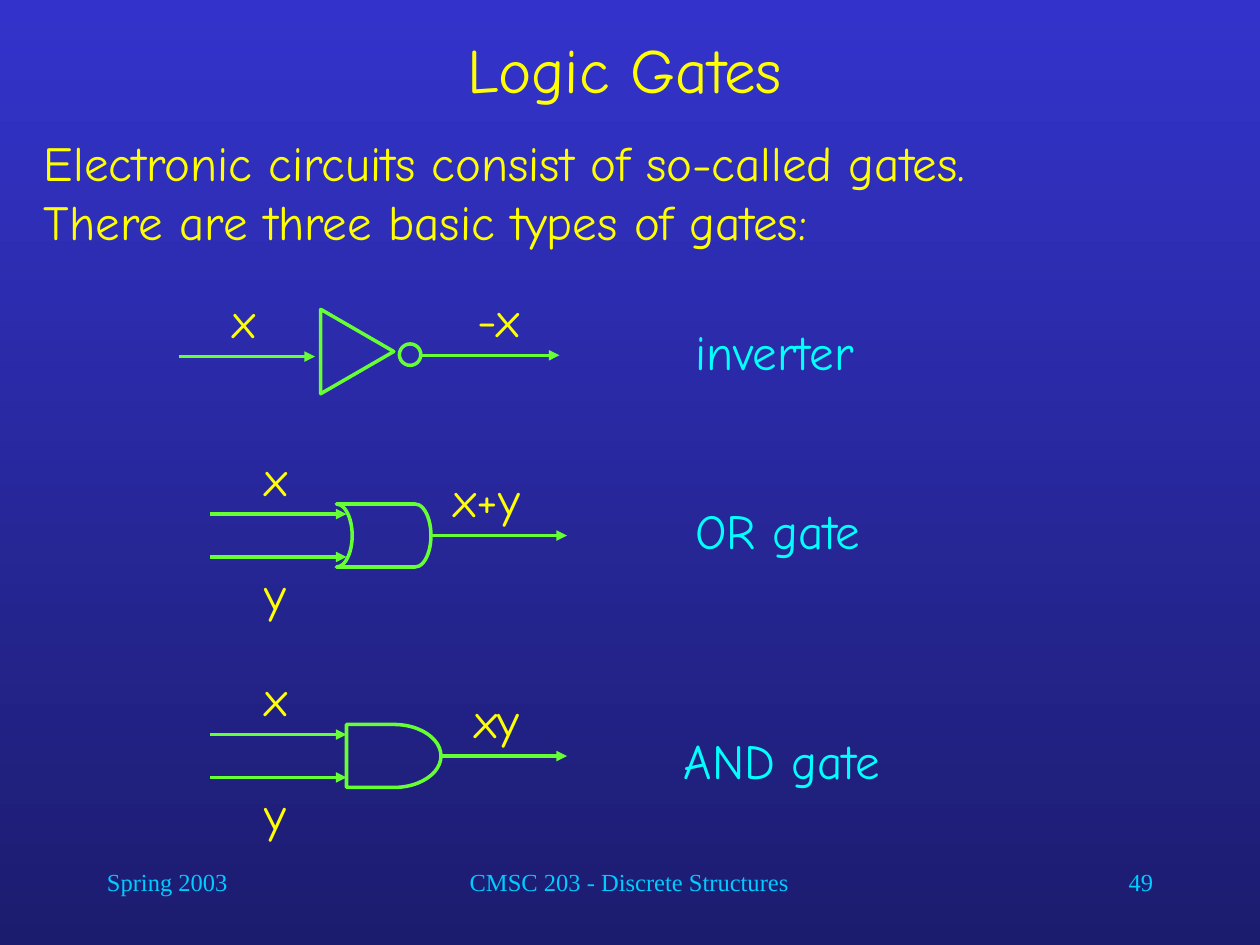
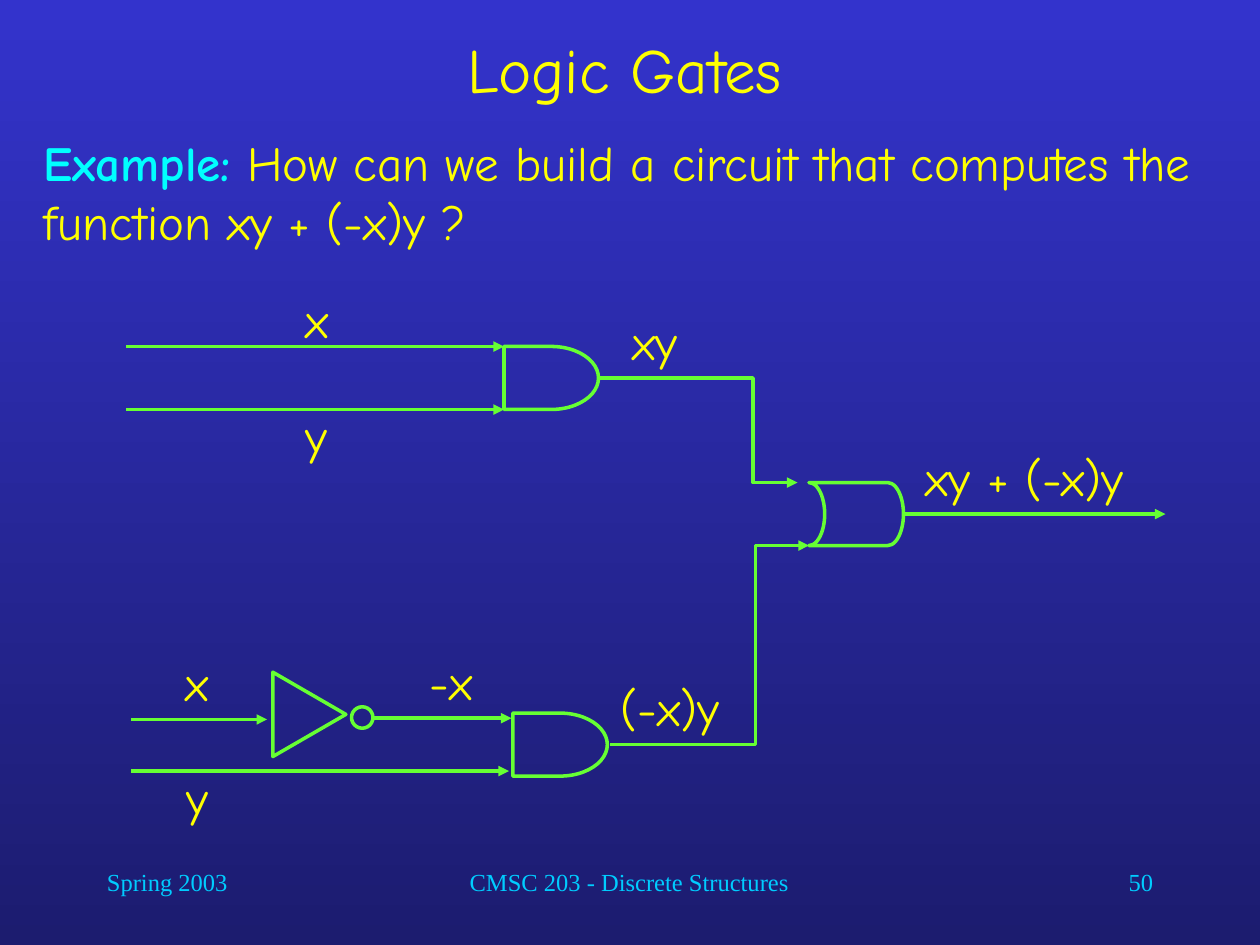
from lxml.etree import SubElement
from pptx import Presentation
from pptx.dml.color import RGBColor
from pptx.enum.shapes import MSO_CONNECTOR, MSO_SHAPE
from pptx.enum.text import MSO_ANCHOR, MSO_AUTO_SIZE, PP_ALIGN
from pptx.oxml.ns import qn
from pptx.util import Inches, Pt

COLORS = {
    "sky": "3333CC",
    "night": "1C1C6F",
    "text": "FFFF00",
    "accent": "00FFFF",
    "footer": "00CCFF",
    "circuit": "66FF33",
}
RGB = {name: RGBColor.from_string(value) for name, value in COLORS.items()}

TITLE = {"size": Pt(36), "name": "Comic Neue"}
BODY = {"size": Pt(28), "name": "Comic Neue"}
FOOTER = {"size": Pt(14), "name": "Times New Roman"}
BODY_SPACING = {"space_before": Pt(7), "space_after": Pt(7)}
LABEL_SPACING = {"space_before": Pt(17.5)}


def add_text(slide, box, runs, font=BODY, paragraph=LABEL_SPACING, frame=None):
    """Add a text box; runs are (text, colour, bold), with a line break at each \\n."""
    text_frame = slide.shapes.add_textbox(*map(Inches, box)).text_frame
    text_frame.word_wrap = True
    line = text_frame.paragraphs[0]
    for target, values in ((text_frame, frame or {}), (line, paragraph)):
        for key, value in values.items():
            setattr(target, key, value)
    for text, color, bold in runs:
        for index, part in enumerate(text.split("\n")):
            if index:
                line.add_line_break()
            run = line.add_run()
            run.text = part
            for key, value in {**font, "bold": bold}.items():
                setattr(run.font, key, value)
            run.font.color.rgb = RGB[color]


def add_wire(slide, start, end, bend=None):
    """Add an arrow; bend is the share of the width at which it turns."""
    kind = MSO_CONNECTOR.STRAIGHT if bend is None else MSO_CONNECTOR.ELBOW
    wire = slide.shapes.add_connector(kind, *map(Inches, (*start, *end)))
    wire.line.width = Pt(2)
    wire.line.color.rgb = RGB["circuit"]
    properties = wire._element.spPr
    SubElement(wire.line._get_or_add_ln(), qn("a:tailEnd"), type="triangle")
    SubElement(properties, qn("a:effectLst"))
    if bend is not None:
        guides = properties.find(qn("a:prstGeom")).get_or_add_avLst()
        SubElement(guides, qn("a:gd"), name="adj1", fmla=f"val {round(bend * 100000)}")
    return wire


prs = Presentation()
prs.slide_width, prs.slide_height = Inches(10), Inches(7.5)

# Shared background
background = prs.slide_master.background.fill
background.gradient()
background.gradient_angle = 270
for stop, color in zip(background.gradient_stops, ("sky", "night")):
    stop.color.rgb = RGB[color]

# Title, introduction and footer of each slide
introductions = {
    49: [("Electronic circuits consist of so-called gates.\n"
          "There are three basic types of gates:", "text", False)],
    50: [("Example:", "accent", True),
         (" How can we build a circuit that computes the function xy + (-x)y ?",
          "text", False)],
}
slides = []
for number, introduction in introductions.items():
    slide = prs.slides.add_slide(prs.slide_layouts[6])
    slides.append(slide)
    footers = (
        (0.75, 2.08, "Spring 2003", PP_ALIGN.LEFT),
        (2.83, 4.33, "CMSC 203 - Discrete Structures", PP_ALIGN.CENTER),
        (7.17, 2.08, str(number), PP_ALIGN.RIGHT),
    )
    for left, width, text, alignment in footers:
        add_text(slide, (left, 6.83, width, 0.5), [(text, "footer", False)],
                 FOOTER, {"alignment": alignment})
    add_text(slide, (0.25, 0, 9.42, 1.08), [("Logic Gates", "text", False)],
             TITLE, {"alignment": PP_ALIGN.CENTER},
             {"vertical_anchor": MSO_ANCHOR.MIDDLE})
    add_text(slide, (0.25, 1, 9.5, 1.08), introduction, BODY, BODY_SPACING)
overview, example = slides

# Wires, labels and symbols, collected for both slides
wires, labels, symbols = [], [], []

# Inverters, placed by the start of their input wire
for slide, x, y in ((overview, 1.42, 2.83), (example, 1.04, 5.71)):
    symbols += [
        (slide, MSO_SHAPE.ISOSCELES_TRIANGLE, (x + 1.08, y - 0.33, 0.67, 0.58), 90),
        (slide, MSO_SHAPE.FLOWCHART_CONNECTOR, (x + 1.75, y - 0.1, 0.17, 0.17), 0),
    ]
    wires += [
        (slide, (x, y), (x + 1.08, y)),
        (slide, (x + 1.93, y - 0.01), (x + 3.02, y - 0.01)),
    ]
    labels += [
        (slide, x + 0.33, y - 0.58, 0.42, "x", "text"),
        (slide, x + 2.27, y - 0.59, 0.9, "-x", "text"),
    ]

# Input pairs x and y of the two-input gates
for slide, start, end, top, gap, label_left, label_top in (
    (overview, 1.67, 2.75, 4.08, 0.34, 2, 3.5),
    (overview, 1.67, 2.75, 5.83, 0.34, 2, 5.25),
    (example, 1, 4, 2.75, 0.5, 2.33, 2.25),
):
    for row, name in enumerate("xy"):
        y = top + row * gap
        wires.append((slide, (start, y), (end, y)))
        labels.append((slide, label_left, label_top + row * 0.92, 0.42, name, "text"))

# Second input of the lower AND gate
wires.append((example, (1.04, 6.12), (4.04, 6.12)))
labels.append((example, 1.38, 6.04, 0.42, "y", "text"))

# OR gates with their output wires
for slide, left, top, wire_end in ((overview, 2.67, 4, 4.5), (example, 6.42, 3.83, 9.25)):
    symbols.append((slide, MSO_SHAPE.FLOWCHART_STORED_DATA, (left, top, 0.75, 0.5), 180))
    wires.append((slide, (left + 0.75, top + 0.25), (wire_end, top + 0.25)))

# AND gates
for slide, left, top in ((overview, 2.75, 5.75), (example, 4, 2.75), (example, 4.07, 5.66)):
    symbols.append((slide, MSO_SHAPE.FLOWCHART_DELAY, (left, top, 0.75, 0.5), 0))

# Bent wires from the AND gates to the OR gate
wires += [
    (example, (4.76, 3), (6.33, 3.83), 0.775),
    (example, (4.84, 5.91), (6.42, 4.33), 0.732),
]

# Output labels and gate names
labels += [
    (overview, 3.5, 3.67, 0.92, "x+y", "text"),
    (overview, 3.67, 5.42, 0.92, "xy", "text"),
    (overview, 5.42, 2.5, 2.5, "inverter", "accent"),
    (overview, 5.42, 3.92, 2.5, "OR gate", "accent"),
    (overview, 5.33, 5.75, 2.5, "AND gate", "accent"),
    (example, 4.92, 2.42, 0.92, "xy", "text"),
    (example, 4.83, 5.33, 1.3, "(-x)y", "text"),
    (example, 7.25, 3.5, 2, "xy + (-x)y", "text"),
]

# Draw the circuits
and_gates = []
for slide, kind, box, rotation in symbols:
    symbol = slide.shapes.add_shape(kind, *map(Inches, box))
    symbol.rotation = rotation
    symbol.shadow.inherit = False
    symbol.fill.background()
    symbol.line.width = Pt(2)
    symbol.line.color.rgb = RGB["circuit"]
    if kind == MSO_SHAPE.FLOWCHART_DELAY:
        and_gates.append(symbol)

for wire in wires:
    add_wire(*wire)
add_wire(overview, (3.5, 6), (4.5, 6)).begin_connect(and_gates[0], 3)

for slide, left, top, width, text, color in labels:
    add_text(slide, (left, top, width, 0.57), [(text, color, False)],
             frame={"auto_size": MSO_AUTO_SIZE.SHAPE_TO_FIT_TEXT})

prs.save("out.pptx")
